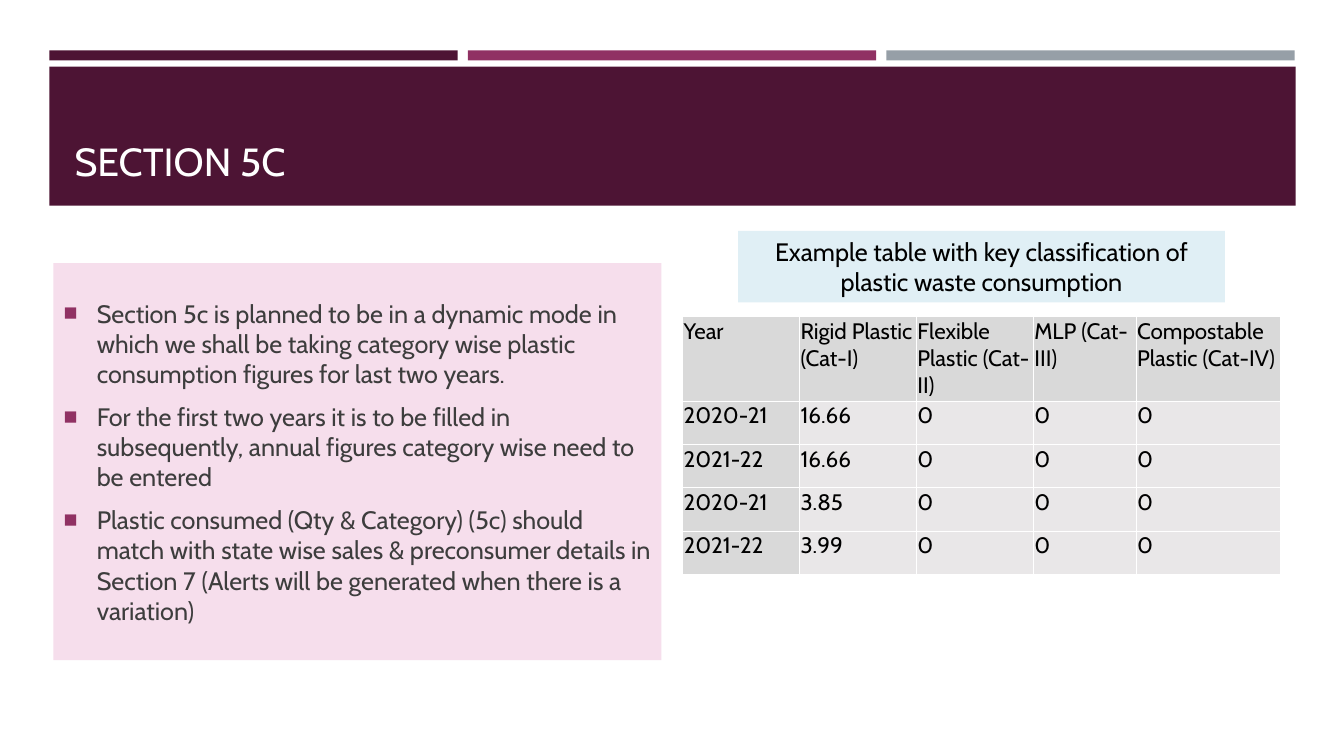
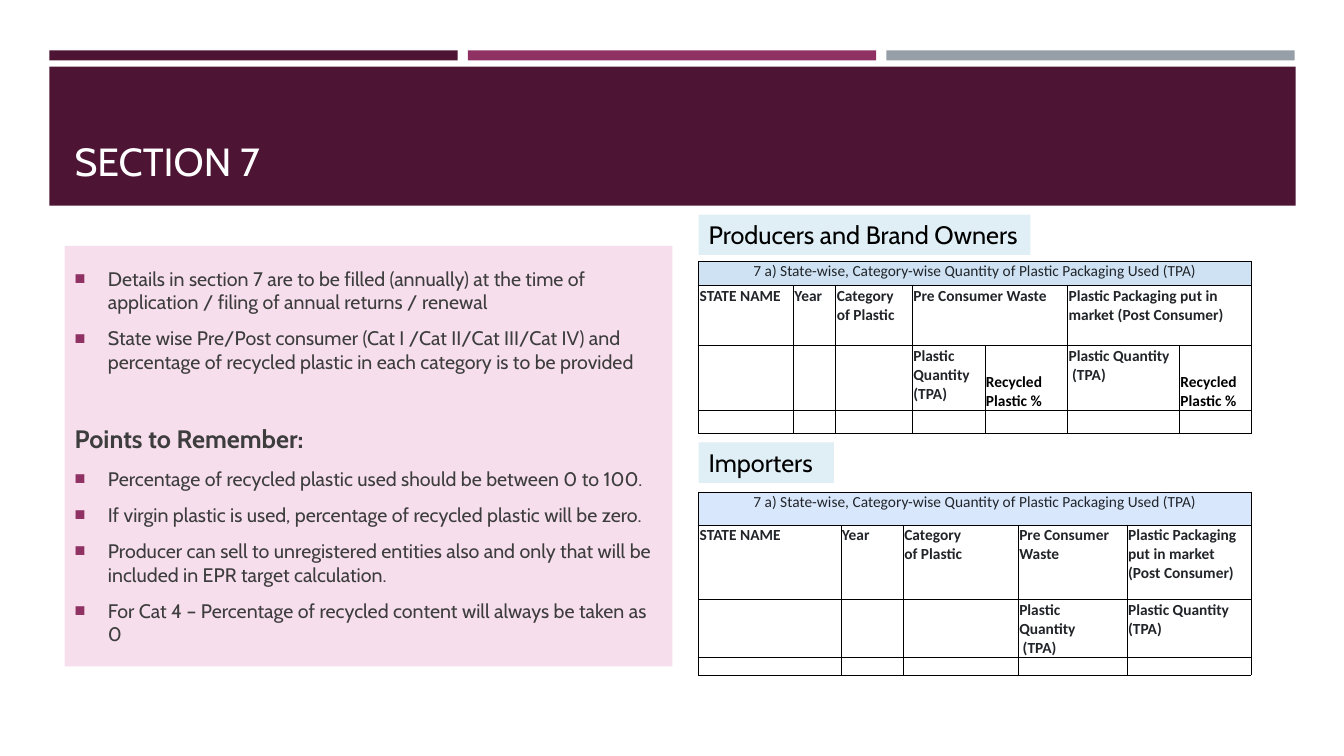
from lxml import etree
from pptx import Presentation
from pptx.dml.color import RGBColor
from pptx.enum.shapes import MSO_SHAPE
from pptx.enum.text import MSO_ANCHOR, MSO_AUTO_SIZE, PP_ALIGN
from pptx.oxml.ns import qn
from pptx.util import Emu, Pt

RECT = MSO_SHAPE.RECTANGLE
TOP, MIDDLE, BOTTOM = MSO_ANCHOR.TOP, MSO_ANCHOR.MIDDLE, MSO_ANCHOR.BOTTOM
LEFT, CENTER = PP_ALIGN.LEFT, PP_ALIGN.CENTER
NO_FIT = MSO_AUTO_SIZE.NONE

# Shared look: 100 px to the inch
PX = 9144
SANS, FORM_FONT = "Cabin", "Calibri"
PLUM, MAGENTA, STEEL = "4D1434", "903163", "969FA7"
PINK, SKY, WHITE, BLACK = "F6DEEC", "E0EFF5", "FFFFFF", "000000"
BODY_INK, FORM_INK = "3D3D3D", "212529"
SILVER, PALE = "D9D9D9", "E9E7E8"

STRIPES = [PLUM, MAGENTA, STEEL]
STRIPE_WIDTH, STRIPE_STEP = 405, 415
BAND = (49, 66, 1236, 138)
TITLE_AREA = (64, 80, 1206, 108)
BULLET_INDENT = 33

# Content: bullets are (text, size, is heading)
FORM_CAPTION = "7 a) State-wise, Category-wise Quantity of Plastic Packaging Used (TPA)"
FORM_HEADS = ["STATE NAME", "Year", "Category\nof Plastic"]
WASTE, MARKET = "Pre Consumer Waste", "Plastic Packaging put in market (Post Consumer)"
RECYCLED = "Recycled\nPlastic %"

GRID_LOOK = dict(font=SANS, size=16, ink=BLACK, line=WHITE, line_width=1,
                 top=SILVER, side=SILVER, body=PALE, bold=False)
FORM_LOOK = dict(font=FORM_FONT, size=11, ink=FORM_INK, line=BLACK, line_width=0.5,
                 side=WHITE, body=WHITE, bold=True)

SLIDES = [
    dict(
        title="SECTION 5C",
        panel=(53, 261, 603, 394),
        bullets=[
            ("Section 5c is planned to be in a dynamic mode in which we shall be taking "
             "category wise plastic consumption figures for last two years.", 18, False),
            ("For the first two years it is to be filled in subsequently, annual figures "
             "category wise need to be entered", 18, False),
            ("Plastic consumed (Qty & Category) (5c) should match with state wise sales & "
             "preconsumer details in Section 7 (Alerts will be generated when there is a "
             "variation)", 18, False),
        ],
        labels=[("Example table with key classification of plastic waste consumption",
                 (732, 229, 483, 71), CENTER)],
        tables=[dict(
            at=(677, 314), look=GRID_LOOK,
            cols=[116, 116, 116, 102, 143], rows=[84, 43, 43, 43, 43],
            cells=[
                ["Year", "Rigid Plastic (Cat-I)", "Flexible Plastic (Cat-II)",
                 "MLP (Cat-III)", "Compostable Plastic (Cat-IV)"],
                ["2020-21", "16.66", "0", "0", "0"],
                ["2021-22", "16.66", "0", "0", "0"],
                ["2020-21", "3.85", "0", "0", "0"],
                ["2021-22", "3.99", "0", "0", "0"],
            ],
        )],
    ),
    dict(
        title="SECTION 7",
        panel=(64, 244, 603, 417),
        bullets=[
            ("Details in section 7 are to be filled (annually) at the time of application / "
             "filing of annual returns / renewal", 14, False),
            ("State wise Pre/Post consumer (Cat I /Cat II/Cat III/Cat IV) and percentage of "
             "recycled plastic in each category is to be provided", 14, False),
            ("Points to Remember:", 18, True),
            ("Percentage of recycled plastic used should be between 0 to 100.", 14, False),
            ("If virgin plastic is used, percentage of recycled plastic will be zero.",
             14, False),
            ("Producer can sell to unregistered entities also and only that will be "
             "included in EPR target calculation.", 14, False),
            ("For Cat 4 – Percentage of recycled content will always be taken as 0",
             14, False),
        ],
        labels=[("Producers and Brand Owners", (693, 213, 329, 40), LEFT),
                ("Importers", (693, 439, 134, 40), LEFT)],
        tables=[
            dict(
                at=(693, 259), look=dict(FORM_LOOK, top="CFE2F3"),
                cols=[94, 42, 76, 72, 82, 111, 71], rows=[24, 60, 64, 23],
                merges=[(0, 0, 6), (1, 3, 4), (1, 5, 6)],
                cells=[
                    [FORM_CAPTION],
                    FORM_HEADS + [WASTE, "", MARKET],
                    ["", "", "", "Plastic Quantity\n(TPA)", RECYCLED,
                     "Plastic Quantity\n (TPA)", RECYCLED],
                    [],
                ],
            ),
            dict(
                at=(693, 488), look=dict(FORM_LOOK, top="D9E7FD"),
                cols=[141, 62, 114, 108, 123], rows=[33, 74, 56, 17],
                merges=[(0, 0, 4)],
                cells=[
                    [FORM_CAPTION],
                    FORM_HEADS + [WASTE, MARKET],
                    ["", "", "", "Plastic\nQuantity\n (TPA)", "Plastic Quantity\n(TPA)"],
                    [],
                ],
            ),
        ],
    ),
]


def rgb(color):
    return RGBColor.from_string(color)


def emu(*lengths):
    return [Emu(length * PX) for length in lengths]


def place(shape, area):
    shape.left, shape.top, shape.width, shape.height = emu(*area)


def paint(target, color):
    target.fill.solid()
    target.fill.fore_color.rgb = rgb(color)


def set_font(para, name, size, color, bold=False):
    font = para.font
    font.name, font.size, font.bold = name, Pt(size), bold
    font.color.rgb = rgb(color)


def set_frame(frame, anchor):
    frame.word_wrap = True
    frame.auto_size = NO_FIT
    frame.vertical_anchor = anchor


def set_bullet(para, shown):
    props = para._p.get_or_add_pPr()
    indent = BULLET_INDENT * PX if shown else 0
    props.set("marL", str(indent))
    props.set("indent", str(-indent))
    if not shown:
        etree.SubElement(props, qn("a:buNone"))
        return
    color = etree.SubElement(props, qn("a:buClr"))
    etree.SubElement(color, qn("a:srgbClr"), val=MAGENTA)
    etree.SubElement(props, qn("a:buSzPct"), val="92000")
    etree.SubElement(props, qn("a:buChar"), char="■")


def set_borders(cell, color, width):
    props = cell._tc.get_or_add_tcPr()
    for index, side in enumerate(("lnL", "lnR", "lnT", "lnB")):
        line = etree.Element(qn("a:" + side), w=str(Pt(width)))
        fill = etree.SubElement(line, qn("a:solidFill"))
        etree.SubElement(fill, qn("a:srgbClr"), val=color)
        props.insert(index, line)


def build_layout(layout, page):
    """Stripes and title band, moved from the page to its layout."""
    areas = [(49 + i * STRIPE_STEP, 50, STRIPE_WIDTH, 10) for i in range(len(STRIPES))]
    for index, (color, area) in enumerate(zip(STRIPES + [PLUM], areas + [BAND])):
        bar = page.shapes.add_shape(RECT, *emu(*area))
        bar.shadow.inherit = False
        paint(bar, color)
        bar.line.fill.background()
        layout.shapes.element.insert(2 + index, bar.element)
    place(layout.placeholders[0], TITLE_AREA)


def add_title(page, text):
    frame = page.shapes.title.text_frame
    set_frame(frame, BOTTOM)
    para = frame.paragraphs[0]
    para.text, para.alignment = text, LEFT
    set_font(para, SANS, 28, WHITE)


def add_panel(page, area, bullets):
    panel = page.placeholders[1]
    place(panel, area)
    paint(panel, PINK)
    frame = panel.text_frame
    set_frame(frame, MIDDLE)
    for index, (text, size, heading) in enumerate(bullets):
        para = frame.add_paragraph() if index else frame.paragraphs[0]
        para.text = text
        set_bullet(para, not heading)
        para.space_before = Pt(0 if index == 0 else 30 if heading else 3)
        para.space_after = Pt(6)
        set_font(para, SANS, size, BODY_INK, heading)


def add_label(page, text, area, align):
    label = page.shapes.add_textbox(*emu(*area))
    paint(label, SKY)
    set_frame(label.text_frame, TOP)
    label.text_frame.word_wrap = align == CENTER
    para = label.text_frame.paragraphs[0]
    para.text, para.alignment = text, align
    set_font(para, SANS, 18, BLACK)


def fill_cell(cell, text, look, row, col):
    cell.margin_left, cell.margin_top, cell.margin_right, cell.margin_bottom = emu(1, 1, 1, 0)
    paint(cell, look["top"] if row == 0 else look["side"] if col == 0 else look["body"])
    set_borders(cell, look["line"], look["line_width"])
    para = cell.text_frame.paragraphs[0]
    if not text:
        etree.SubElement(para._p, qn("a:endParaRPr"), sz="800")
        return
    para.text = text
    is_form, low = look["bold"], text == RECYCLED
    para.alignment = CENTER if is_form and row == 0 else LEFT
    cell.vertical_anchor = BOTTOM if low else TOP
    set_font(para, look["font"], look["size"], BLACK if low else look["ink"],
             is_form and row > 0)


def add_grid(page, at, look, cols, rows, cells, merges=()):
    frame = page.shapes.add_table(len(rows), len(cols), *emu(*at, sum(cols), sum(rows)))
    table = frame.table
    table.first_row = table.horz_banding = False
    for column, width in zip(table.columns, cols):
        column.width = Emu(width * PX)
    for r, height in enumerate(rows):
        table.rows[r].height = Emu(height * PX)
        texts = cells[r] + [""] * (len(cols) - len(cells[r]))
        for c, text in enumerate(texts):
            fill_cell(table.cell(r, c), text, look, r, c)
    for row, first, last in merges:
        table.cell(row, first).merge(table.cell(row, last))


def main():
    deck = Presentation()
    deck.slide_width, deck.slide_height = emu(1333, 750)
    layout = deck.slide_layouts[1]
    for index, content in enumerate(SLIDES):
        page = deck.slides.add_slide(layout)
        if index == 0:
            build_layout(layout, page)
        add_title(page, content["title"])
        add_panel(page, content["panel"], content["bullets"])
        for table in content["tables"]:
            add_grid(page, **table)
        for label in content["labels"]:
            add_label(page, *label)
    deck.save("out.pptx")


if __name__ == "__main__":
    main()
